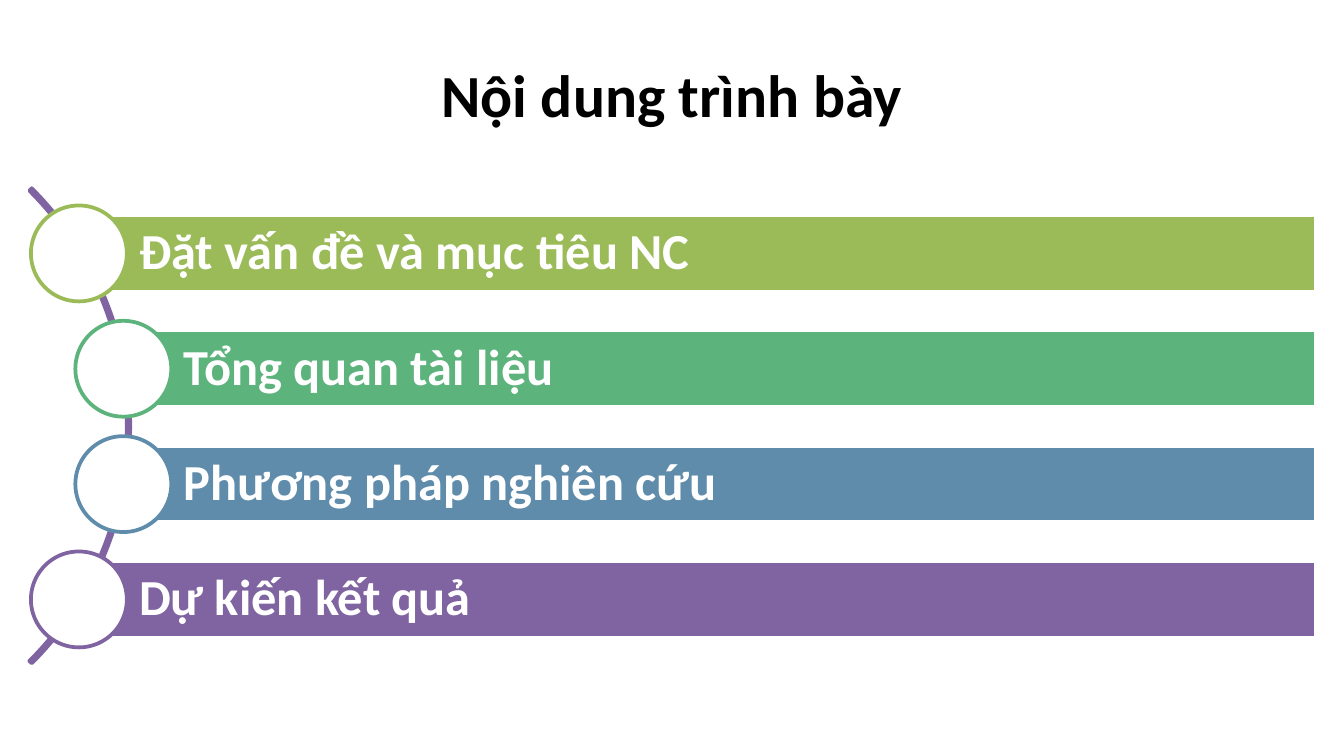
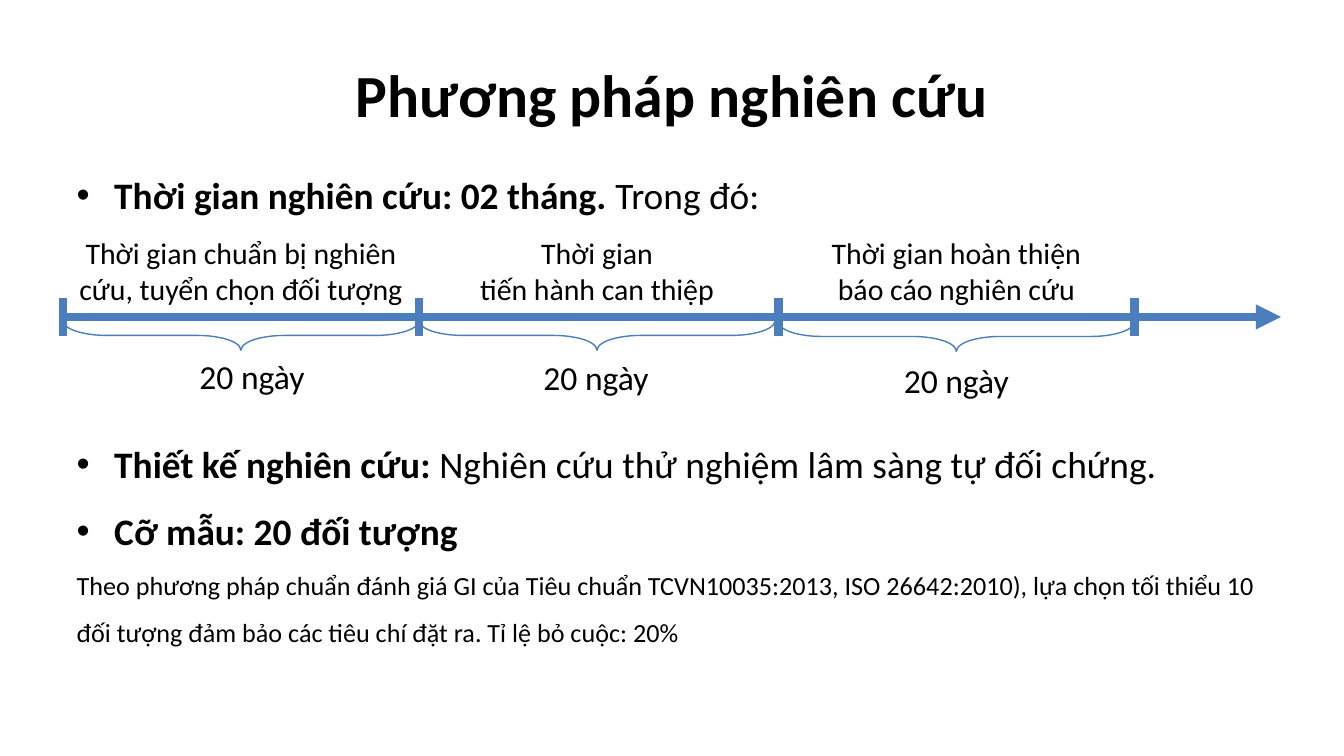
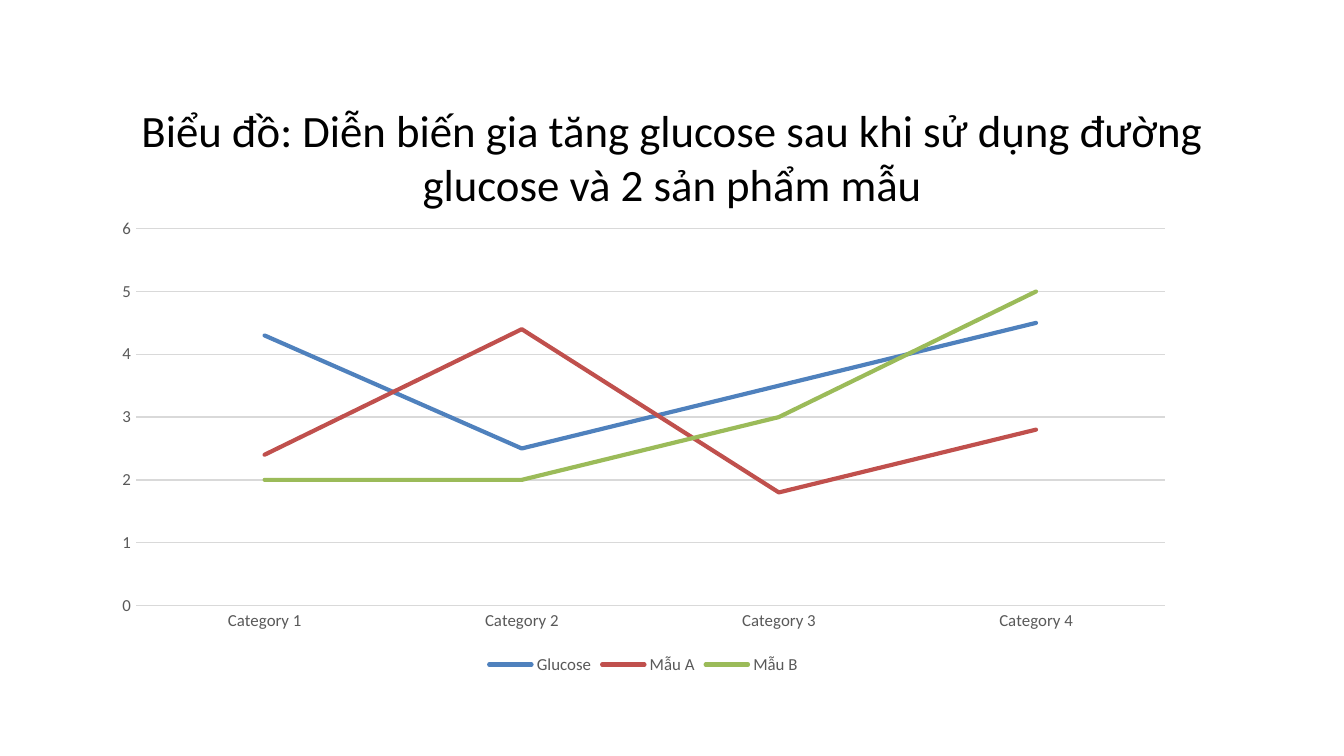
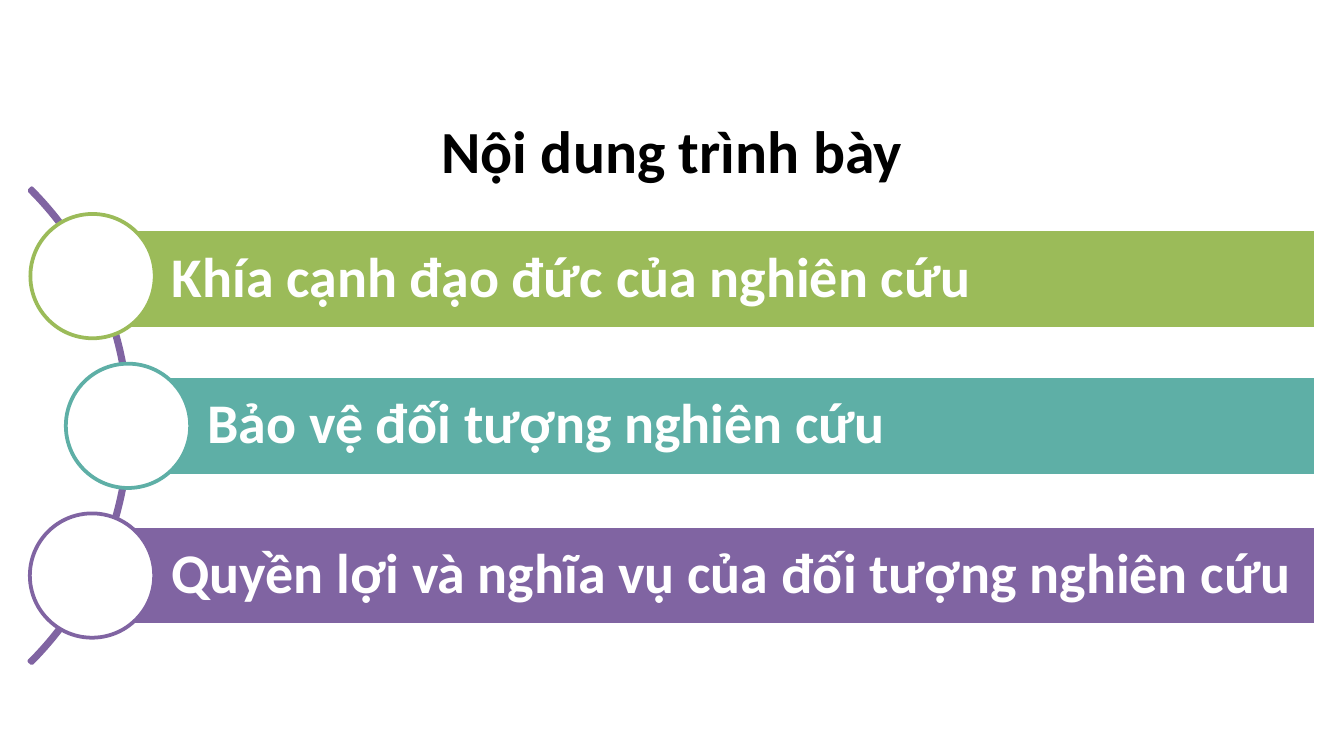
from dataclasses import dataclass

from lxml.etree import SubElement
from pptx import Presentation
from pptx.chart.data import CategoryChartData
from pptx.dml.color import RGBColor
from pptx.enum.chart import XL_CHART_TYPE as ChartType, XL_LEGEND_POSITION as LegendPos, XL_TICK_MARK as TickMark
from pptx.enum.shapes import MSO_CONNECTOR as Connector, MSO_SHAPE as Shape
from pptx.enum.text import MSO_ANCHOR as Anchor, MSO_AUTO_SIZE as AutoSize, PP_ALIGN as Align
from pptx.oxml.ns import qn
from pptx.util import Cm, Pt

FONT = "Calibri"
BLACK, WHITE, GREY, PALE = "000000", "FFFFFF", "595959", "D9D9D9"
BLUE, RED, GREEN, PURPLE = "4F81BD", "C0504D", "9BBB59", "8064A2"
SEA, STEEL, TEAL, AXIS_BLUE = "5CB37C", "608CAB", "5EAFA6", "4B7EBC"

MARGIN, CONTENT_WIDTH = 1.27, 22.86
TITLE_HEIGHT = 2.39
BAR_RIGHT = 24.87
AXIS_Y, TICK_TOP, TICK_BOTTOM = 5.99, 5.64, 6.35
PHASE_WIDTH, BRACE_DEPTH = 6.73, 0.56
INDENT = 0.71


@dataclass
class AgendaRow:
    label: str
    colour: str
    left: float
    shift: float = 0


@dataclass
class AgendaStyle:
    first_centre: float
    pitch: float
    bar_height: float
    text_inset: float
    edge_inset: float
    size: float


@dataclass
class Phase:
    lines: list[str]
    start: float
    brace_centre: float
    days_left: float
    days_top: float


@dataclass
class BodyPara:
    bold: str
    plain: str
    size: float = 20
    bullet: bool = True
    before: float = 0


def rgb(colour: str) -> RGBColor:
    return RGBColor.from_string(colour)


def set_font(font, size: float, colour: str = BLACK, bold: bool = False) -> None:
    font.name, font.size, font.bold = FONT, Pt(size), bold
    font.color.rgb = rgb(colour)


def add_span(para, text: str, size: float, colour: str = BLACK, bold: bool = False) -> None:
    span = para.add_run()
    span.text = text
    set_font(span.font, size, colour, bold)


def set_insets(frame, left: float, top: float, right: float, bottom: float) -> None:
    frame.margin_left, frame.margin_top = Cm(left), Cm(top)
    frame.margin_right, frame.margin_bottom = Cm(right), Cm(bottom)


def add_page(deck, title: str, top: float = 0.58, height: float = TITLE_HEIGHT,
             size: float = 32, bold: bool = True, anchor=Anchor.MIDDLE):
    page = deck.slides.add_slide(deck.slide_layouts[5])
    box = page.shapes.title
    box.left, box.top, box.width, box.height = Cm(MARGIN), Cm(top), Cm(CONTENT_WIDTH), Cm(height)
    frame = box.text_frame
    frame.word_wrap, frame.auto_size = True, AutoSize.NONE
    frame.vertical_anchor = anchor
    set_insets(frame, 0.18, 0.1, 0.18, 0.1)
    para = frame.paragraphs[0]
    para.alignment = Align.CENTER
    add_span(para, title, size, bold=bold)
    return page


def add_figure(page, kind, left: float, top: float, width: float, height: float,
               line: str, line_width: float = 2, fill: str | None = None):
    figure = page.shapes.add_shape(kind, Cm(left), Cm(top), Cm(width), Cm(height))
    figure.shadow.inherit = False
    if fill:
        figure.fill.solid()
        figure.fill.fore_color.rgb = rgb(fill)
    else:
        figure.fill.background()
    figure.line.color.rgb = rgb(line)
    figure.line.width = Pt(line_width)
    return figure


def add_textbox(page, left: float, top: float, width: float, height: float):
    frame = page.shapes.add_textbox(Cm(left), Cm(top), Cm(width), Cm(height)).text_frame
    frame.word_wrap = True
    return frame


def add_centred_lines(page, lines: list[str], left: float, top: float, height: float, size: float) -> None:
    frame = add_textbox(page, left, top, PHASE_WIDTH, height)
    for index, line in enumerate(lines):
        para = frame.add_paragraph() if index else frame.paragraphs[0]
        para.alignment = Align.CENTER
        add_span(para, line, size)


def add_axis_line(page, x1: float, y1: float, x2: float, y2: float, arrow: bool = False) -> None:
    connector = page.shapes.add_connector(Connector.STRAIGHT, Cm(x1), Cm(y1), Cm(x2), Cm(y2))
    connector.line.color.rgb = rgb(AXIS_BLUE)
    connector.line.width = Pt(4.5)
    if arrow:
        SubElement(connector.line._get_or_add_ln(), qn("a:tailEnd"), type="triangle")
    SubElement(connector._element.spPr, qn("a:effectLst"))


def set_bullet(para) -> None:
    properties = para._p.get_or_add_pPr()
    properties.set("marL", str(Cm(INDENT)))
    properties.set("indent", str(-Cm(INDENT)))
    SubElement(properties, qn("a:buFont"), typeface="Arial")
    SubElement(properties, qn("a:buChar"), char="•")


def add_agenda(page, rows: list[AgendaRow], style: AgendaStyle) -> None:
    """Draw the curved spine and, on it, one circle and bar per row."""
    spine = add_figure(page, Shape.BLOCK_ARC, -10.24, 1.7, 12.7, 12.7, PURPLE)
    for index, value in enumerate((189, 27, 0.005)):
        spine.adjustments[index] = value
    height, diameter = style.bar_height, style.bar_height * 1.25
    for index, row in enumerate(rows):
        centre = style.first_centre + index * style.pitch
        bar = add_figure(page, Shape.RECTANGLE, row.left, centre + row.shift - height / 2,
                         BAR_RIGHT - row.left, height, WHITE, fill=row.colour)
        frame = bar.text_frame
        frame.word_wrap, frame.vertical_anchor = True, Anchor.MIDDLE
        edge = style.edge_inset
        set_insets(frame, style.text_inset, edge, edge, edge)
        para = frame.paragraphs[0]
        para.alignment, para.line_spacing = Align.LEFT, 0.9
        add_span(para, row.label, style.size, WHITE, True)
        add_figure(page, Shape.OVAL, row.left - diameter / 2, centre - diameter / 2,
                   diameter, diameter, row.colour, fill=WHITE)


def add_body(page, paras: list[BodyPara]) -> None:
    frame = add_textbox(page, MARGIN, 2.74, CONTENT_WIDTH, 9.91)
    set_insets(frame, 0.18, 0.1, 0.18, 0.1)
    for index, item in enumerate(paras):
        para = frame.add_paragraph() if index else frame.paragraphs[0]
        para.line_spacing = 1.5
        if item.before:
            para.space_before = Pt(item.before)
        if item.bullet:
            set_bullet(para)
        for text, bold in ((item.bold, True), (item.plain, False)):
            if text:
                add_span(para, text, item.size, bold=bold)


def add_timeline(page, phases: list[Phase]) -> None:
    add_axis_line(page, MARGIN, AXIS_Y, 24.21, AXIS_Y, arrow=True)
    for x in [phase.start for phase in phases] + [phases[-1].start + PHASE_WIDTH]:
        add_axis_line(page, x, TICK_TOP, x, TICK_BOTTOM)
    for phase in phases:
        middle = phase.start + PHASE_WIDTH / 2
        brace = add_figure(page, Shape.LEFT_BRACE, middle - BRACE_DEPTH / 2,
                           phase.brace_centre - PHASE_WIDTH / 2, BRACE_DEPTH, PHASE_WIDTH, AXIS_BLUE, 0.75)
        brace.rotation = 270
        brace.adjustments[0], brace.adjustments[1] = 1.471, 0.5
        add_centred_lines(page, phase.lines, phase.start, 4.32, 1.63, 16)
        add_centred_lines(page, ["20 ngày"], phase.days_left, phase.days_top, 1.02, 18)


def add_glucose_chart(page) -> None:
    series = [
        ("Glucose", (4.3, 2.5, 3.5, 4.5), BLUE),
        ("Mẫu A", (2.4, 4.4, 1.8, 2.8), RED),
        ("Mẫu B", (2, 2, 3, 5), GREEN),
    ]
    data = CategoryChartData()
    data.categories = [f"Category {number}" for number in range(1, 5)]
    for name, values, _ in series:
        data.add_series(name, values)
    chart = page.shapes.add_chart(ChartType.LINE, Cm(1.9), Cm(3.96), Cm(20.52), Cm(8.89), data).chart
    chart.has_title = False
    set_font(chart.font, 10)
    chart.has_legend = True
    chart.legend.position = LegendPos.BOTTOM
    chart.legend.include_in_layout = False
    set_font(chart.legend.font, 9, GREY)

    for axis in (chart.category_axis, chart.value_axis):
        axis.major_tick_mark = axis.minor_tick_mark = TickMark.NONE
        set_font(axis.tick_labels.font, 9, GREY)
    values_axis = chart.value_axis
    values_axis.minimum_scale, values_axis.maximum_scale, values_axis.major_unit = 0, 6, 1
    values_axis.format.line.fill.background()
    for line in (chart.category_axis.format.line, values_axis.major_gridlines.format.line):
        line.color.rgb = rgb(PALE)
        line.width = Pt(0.75)

    plot = chart.plots[0]
    plot.vary_by_categories = False
    for plotted, (_, _, colour) in zip(plot.series, series):
        plotted.smooth = False
        line = plotted.format.line
        line.color.rgb = rgb(colour)
        line.width = Pt(2.25)
        line._get_or_add_ln().set("cap", "rnd")


def main() -> None:
    deck = Presentation()
    deck.slide_width, deck.slide_height = Cm(25.4), Cm(14.29)

    page = add_page(deck, "Nội dung trình bày")
    add_agenda(page, [
        AgendaRow("Đặt vấn đề và mục tiêu NC", GREEN, 1.49),
        AgendaRow("Tổng quan tài liệu", SEA, 2.33),
        AgendaRow("Phương pháp nghiên cứu", STEEL, 2.33),
        AgendaRow("Dự kiến kết quả", PURPLE, 1.49),
    ], AgendaStyle(4.79, 2.18, 1.45, 1.14, 0.18, 27))

    page = add_page(deck, "Phương pháp nghiên cứu")
    add_body(page, [
        BodyPara("Thời gian nghiên cứu: 02 tháng. ", "Trong đó:"),
        BodyPara("Thiết kế nghiên cứu: ", "Nghiên cứu thử nghiệm lâm sàng tự đối chứng.", before=108),
        BodyPara("Cỡ mẫu: 20 đối tượng", ""),
        BodyPara("", "Theo phương pháp chuẩn đánh giá GI của Tiêu chuẩn TCVN10035:2013, ISO 26642:2010), "
                 "lựa chọn tối thiểu 10 đối tượng đảm bảo các tiêu chí đặt ra. Tỉ lệ bỏ cuộc: 20%",
                 size=14, bullet=False),
    ])
    add_timeline(page, [
        Phase(["Thời gian chuẩn bị nghiên cứu, tuyển chọn đối tượng"], 1.19, 6.34, 1.4, 6.6),
        Phase(["Thời gian", "tiến hành can thiệp"], 7.92, 6.34, 7.9, 6.63),
        Phase(["Thời gian hoàn thiện", "báo cáo nghiên cứu"], 14.71, 6.36, 14.71, 6.68),
    ])

    page = add_page(deck, "Biểu đồ: Diễn biến gia tăng glucose sau khi sử dụng đường glucose và 2 sản phẩm mẫu",
                    top=1.85, height=2.3, size=24, bold=False, anchor=Anchor.TOP)
    add_glucose_chart(page)

    page = add_page(deck, "Nội dung trình bày", top=1.63)
    add_agenda(page, [
        AgendaRow("Khía cạnh đạo đức của nghiên cứu", GREEN, 1.75, shift=0.06),
        AgendaRow("Bảo vệ đối tượng nghiên cứu", TEAL, 2.42),
        AgendaRow("Quyền lợi và nghĩa vụ của đối tượng nghiên cứu", PURPLE, 1.74),
    ], AgendaStyle(5.22, 2.83, 1.88, 1.5, 0.2, 30))

    deck.save("out.pptx")


if __name__ == "__main__":
    main()
